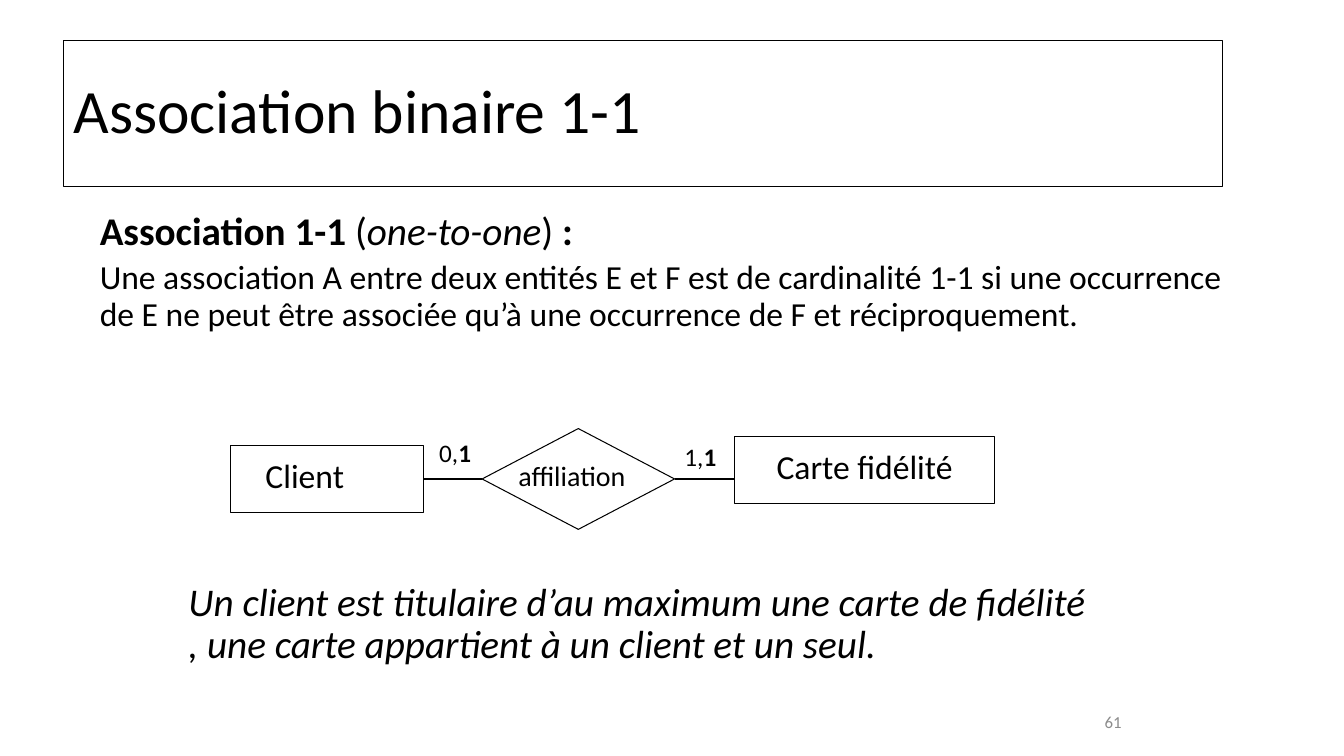
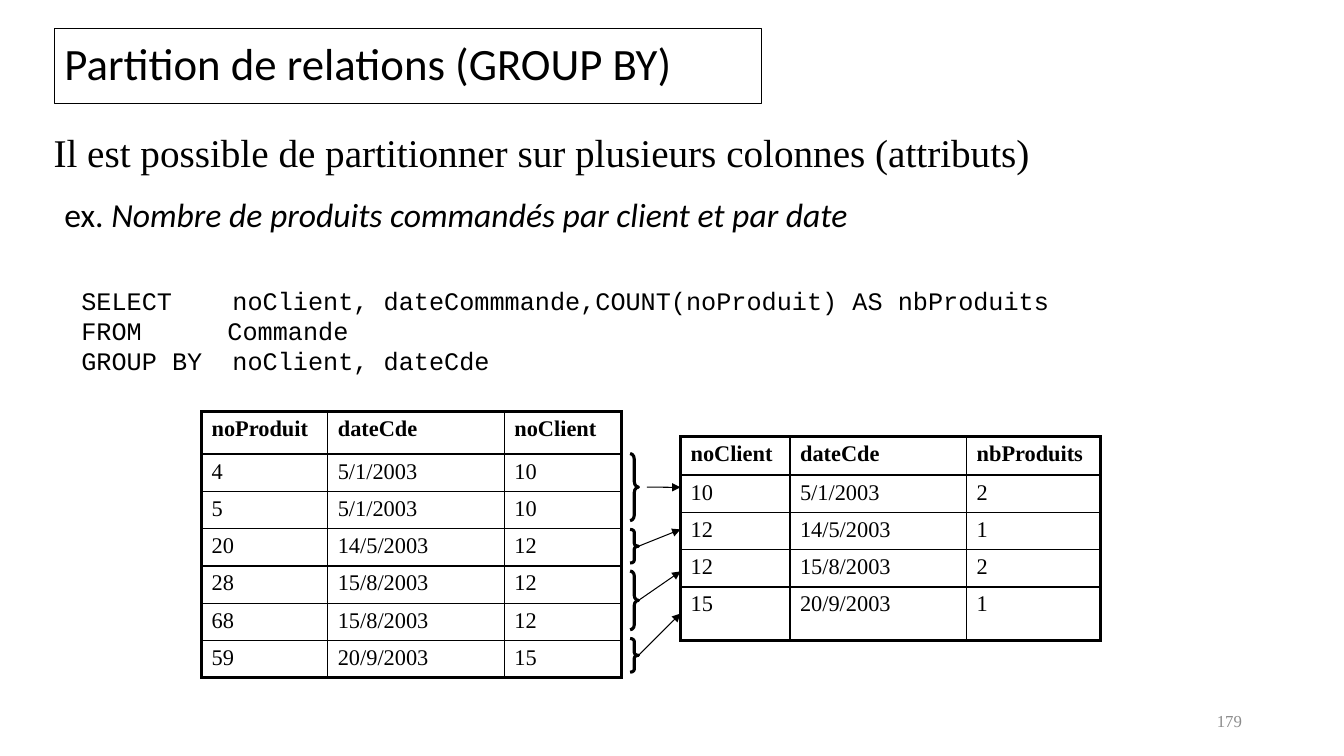
from lxml.etree import SubElement
from pptx import Presentation
from pptx.dml.color import RGBColor
from pptx.enum.shapes import MSO_CONNECTOR, MSO_SHAPE
from pptx.enum.text import MSO_ANCHOR, MSO_AUTO_SIZE, PP_ALIGN
from pptx.oxml import parse_xml
from pptx.oxml.ns import nsdecls, qn
from pptx.util import Cm, Pt

BLACK = "000000"
GREY = "8B8B8B"
SANS = "Calibri"
SERIF = "Times New Roman"
MONO = "Courier New"


def color(hex_value):
    return RGBColor.from_string(hex_value)


class Deck:
    thin = 0.75
    cell_line = 0.96
    frame_line = 2.25

    def __init__(self):
        self.presentation = Presentation()
        self.presentation.slide_width = Cm(33.87)
        self.presentation.slide_height = Cm(19.05)
        self.slide = None

    def new_slide(self):
        layout = self.presentation.slide_layouts[1]
        self.slide = self.presentation.slides.add_slide(layout)

    def place(self, shape, left, top, width, height):
        shape.left, shape.top = Cm(left), Cm(top)
        shape.width, shape.height = Cm(width), Cm(height)

    def outline(self, shape, width):
        shape.line.color.rgb = color(BLACK)
        shape.line.width = Pt(width)

    def add_runs(self, paragraph, runs, size, font=SANS, ink=BLACK,
                 align=PP_ALIGN.LEFT, spacing=1.0, before=0):
        paragraph.alignment = align
        paragraph.line_spacing = spacing
        paragraph.space_before = Pt(before)
        for text, style in runs:
            run = paragraph.add_run()
            run.text = text
            run.font.name = font
            run.font.size = Pt(size)
            run.font.color.rgb = color(ink)
            run.font.bold = style == "bold"
            run.font.italic = style == "italic"

    def frame(self, shape, anchor=MSO_ANCHOR.TOP, wrap=True):
        text_frame = shape.text_frame
        text_frame.auto_size = MSO_AUTO_SIZE.NONE
        text_frame.word_wrap = wrap
        text_frame.vertical_anchor = anchor
        return text_frame

    def title(self, text, size, *area):
        heading = self.slide.shapes.title
        self.place(heading, *area)
        self.outline(heading, 0.5)
        text_frame = self.frame(heading, MSO_ANCHOR.MIDDLE)
        self.add_runs(text_frame.paragraphs[0], [(text, "")], size, spacing=0.9)

    def body(self, lines, *area):
        content = self.slide.placeholders[1]
        self.place(content, *area)
        text_frame = self.frame(content)
        for index, (runs, size) in enumerate(lines):
            paragraph = text_frame.add_paragraph() if index else text_frame.paragraphs[0]
            properties = paragraph._p.get_or_add_pPr()
            properties.set("marL", "0")
            properties.set("indent", "0")
            SubElement(properties, qn("a:buNone"))
            self.add_runs(paragraph, runs, size, spacing=0.9, before=4.8 if index else 0)

    def text(self, lines, size, *area, anchor=MSO_ANCHOR.TOP, wrap=True, **style):
        box = self.slide.shapes.add_textbox(*map(Cm, area))
        text_frame = self.frame(box, anchor, wrap)
        for index, runs in enumerate(lines):
            paragraph = text_frame.add_paragraph() if index else text_frame.paragraphs[0]
            self.add_runs(paragraph, runs, size, **style)

    def number(self, value, font, *area):
        self.text([[(value, "")]], 12, *area, anchor=MSO_ANCHOR.MIDDLE,
                  font=font, ink=GREY, align=PP_ALIGN.RIGHT)

    def shape(self, kind, width, *area):
        shape = self.slide.shapes.add_shape(kind, *map(Cm, area))
        shape.shadow.inherit = False
        shape.fill.background()
        self.outline(shape, width)
        return shape

    def node(self, kind, name, size, align, margins, *area):
        node = self.shape(kind, self.thin, *area)
        text_frame = self.frame(node, MSO_ANCHOR.MIDDLE, wrap=False)
        text_frame.margin_left, text_frame.margin_right = map(Cm, margins)
        text_frame.margin_top, text_frame.margin_bottom = Cm(0), Cm(0.2)
        self.add_runs(text_frame.paragraphs[0], [(name, "")], size, align=align)

    def brace(self, left, top, height):
        brace = self.shape(MSO_SHAPE.RIGHT_BRACE, self.frame_line, left, top, 0.21, height)
        brace.adjustments[0] = height / 2.54

    def line(self, *ends, arrow=False):
        line = self.slide.shapes.add_connector(MSO_CONNECTOR.STRAIGHT, *map(Cm, ends))
        self.outline(line, self.thin)
        properties = line._element.spPr
        if arrow:
            SubElement(properties.find(qn("a:ln")), qn("a:tailEnd"), type="triangle")
        SubElement(properties, qn("a:effectLst"))

    def border(self, cell, sides):
        properties = cell._tc.get_or_add_tcPr()
        for index, (side, outer) in enumerate(sides):
            width = Pt(self.frame_line if outer else self.cell_line)
            properties.insert(index, parse_xml(
                f'<a:{side} {nsdecls("a")} w="{width}"><a:solidFill>'
                f'<a:srgbClr val="{BLACK}"/></a:solidFill></a:{side}>'))

    def table(self, rows, widths, heights, left, top):
        graphic = self.slide.shapes.add_table(
            len(rows), len(widths), Cm(left), Cm(top), Cm(sum(widths)), Cm(sum(heights)))
        table = graphic.table
        table.first_row = table.horz_banding = False
        for column, width in zip(table.columns, widths):
            column.width = Cm(width)
        last_row, last_column = len(rows) - 1, len(widths) - 1
        for r, (values, height) in enumerate(zip(rows, heights)):
            table.rows[r].height = Cm(height)
            for c, value in enumerate(values):
                cell = table.cell(r, c)
                cell.fill.background()
                self.border(cell, [("lnL", c == 0), ("lnR", c == last_column),
                                   ("lnT", r == 0), ("lnB", r == last_row)])
                style = "" if r else "bold"
                self.add_runs(cell.text_frame.paragraphs[0], [(value, style)], 16, font=SERIF)


def binary_association(deck):
    deck.new_slide()
    deck.title("Association binaire 1-1", 44, 1.6, 1.02, 29.21, 3.68)
    deck.body([
        ([("Association 1-1 ", "bold"), ("(", ""), ("one-to-one", "italic"),
          (")", ""), (" :", "bold")], 28),
        ([("Une association A entre deux entités E et F est de cardinalité 1-1 "
           "si une occurrence de E ne peut être associée qu’à une occurrence "
           "de F et réciproquement.", "")], 24),
    ], 2.26, 5.21, 29.5, 3.3)
    deck.text([[("Un client est titulaire d’au maximum une carte de fidélité , "
                 "une carte appartient à un client et un seul.", "italic")]],
              28, 4.5, 14.55, 23.21, 2.3, spacing=0.9)

    axis = 12.07
    deck.node(MSO_SHAPE.RECTANGLE, "Client", 24, PP_ALIGN.LEFT, (0.89, 0),
              5.8, 11.22, 4.87, 1.7)
    deck.node(MSO_SHAPE.DIAMOND, "affiliation", 20, PP_ALIGN.CENTER, (0, 0.32),
              12.15, axis - 1.27, 4.85, 2.54)
    deck.node(MSO_SHAPE.RECTANGLE, "Carte fidélité", 24, PP_ALIGN.LEFT, (1.07, 0),
              18.5, 11, 6.56, 1.7)
    for start, end in [(10.67, 12.15), (17, 18.5)]:
        deck.line(start, axis, end, axis)
    for minimum, left, top in [("0,", 10.82, 10.9), ("1,", 17, 11)]:
        deck.text([[(minimum, ""), ("1", "bold")]], 18, left, top, 1.3, 1.02, wrap=False)
    deck.number("61", SANS, 27.05, 17.35, 1.47, 1.7)


def relation_partition(deck):
    deck.new_slide()
    deck.title("Partition de relations (GROUP BY)", 32, 1.37, 0.71, 17.83, 1.9)
    deck.text([[("Il est possible de partitionner sur plusieurs colonnes (attributs)", "")]],
              28, 1.1, 3.12, 30.6, 1.45, font=SERIF)
    deck.body([([("ex. ", ""),
                 ("Nombre de produits commandés par client et par date", "italic")], 24)],
              1.37, 4.88, 23.7, 1.47)
    query = ["SELECT    noClient, dateCommmande,COUNT(noProduit) AS nbProduits",
             "FROM \t   Commande",
             "GROUP BY  noClient, dateCde"]
    deck.text([[(clause, "")] for clause in query], 18, 1.8, 7.06, 26, 2.5, font=MONO)

    orders = [("noProduit", "dateCde", "noClient"),
              ("4", "5/1/2003", "10"),
              ("5", "5/1/2003", "10"),
              ("20", "14/5/2003", "12"),
              ("28", "15/8/2003", "12"),
              ("68", "15/8/2003", "12"),
              ("59", "20/9/2003", "15")]
    counts = [("noClient", "dateCde", "nbProduits"),
              ("10", "5/1/2003", "2"),
              ("12", "14/5/2003", "1"),
              ("12", "15/8/2003", "2"),
              ("15", "20/9/2003", "1")]
    row = 0.94
    deck.table(orders, [3.18, 4.45, 2.96], [1.07] + [row] * 6, 5.08, 10.37)
    deck.table(counts, [2.76, 4.45, 3.38], [0.97] + [row] * 3 + [1.35], 17.15, 11)

    groups = [(11.43, 1.69, 16.3), (13.34, 0.85, 16.09),
              (14.39, 1.48, 16.09), (16.09, 0.85, 16.09)]
    for index, (top, height, start) in enumerate(groups):
        deck.brace(15.88, top, height)
        deck.line(start, top + height / 2, 17.15, 12.28 + 1.06 * index, arrow=True)
    deck.number("179", SERIF, 23.93, 17.65, 7.62, 1.02)


def main():
    deck = Deck()
    binary_association(deck)
    relation_partition(deck)
    deck.presentation.save("out.pptx")


if __name__ == "__main__":
    main()
